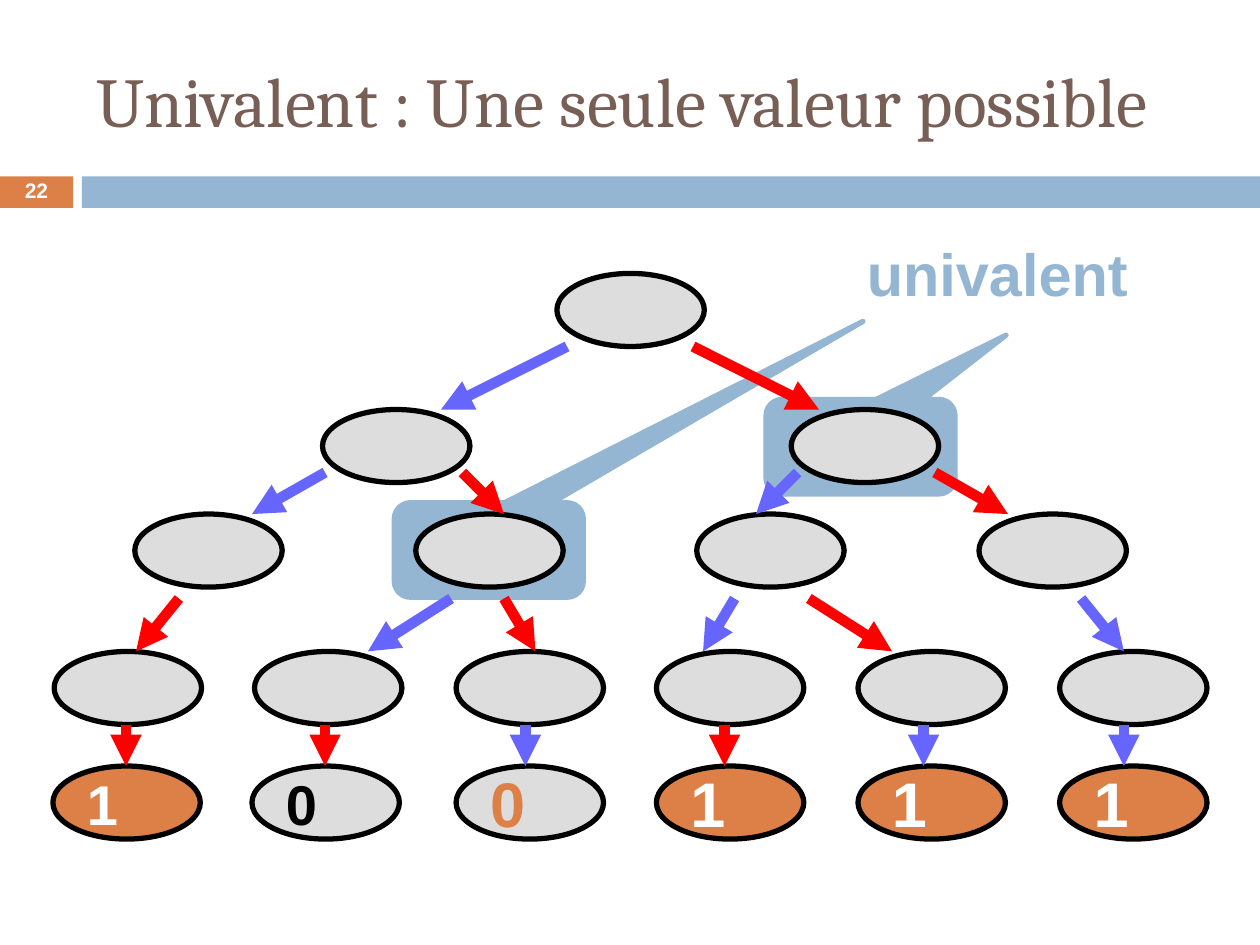
from pptx import Presentation
from pptx.dml.color import RGBColor
from pptx.enum.shapes import MSO_CONNECTOR, MSO_SHAPE
from pptx.enum.text import MSO_ANCHOR, PP_ALIGN
from pptx.oxml.ns import qn
from pptx.util import Inches, Pt
from lxml.etree import SubElement

ORANGE, SKY, GREY = "DD8047", "94B6D2", "DDDDDD"
BLACK, WHITE, BROWN = "000000", "FFFFFF", "775F55"
BLUE, RED = "6666FF", "FF0000"
NODE_WIDTH, NODE_HEIGHT = 1.17, 0.58


def color(value):
    return RGBColor.from_string(value)


def apply(target, values):
    for name, value in values.items():
        setattr(target, name, value)


class Page:
    def __init__(self, deck):
        self.shapes = deck.slides.add_slide(deck.slide_layouts[6]).shapes

    def shape(self, kind, box, fill, line=None, adjustments=()):
        item = self.shapes.add_shape(kind, *map(Inches, box))
        item.shadow.inherit = False
        item.fill.solid()
        item.fill.fore_color.rgb = color(fill)
        if line:
            item.line.color.rgb = color(line)
            item.line.width = Pt(3)
        else:
            item.line.fill.background()
        for index, value in enumerate(adjustments):
            item.adjustments[index] = value
        return item

    def label(self, item, text, size, ink, font="Arial", bold=True,
              align=PP_ALIGN.LEFT, anchor=MSO_ANCHOR.MIDDLE, spacing=1.0, wrap=True):
        apply(item.text_frame, {"word_wrap": wrap, "vertical_anchor": anchor})
        para = item.text_frame.paragraphs[0]
        apply(para, {"alignment": align, "line_spacing": spacing})
        span = para.add_run()
        span.text = text
        apply(span.font, {"name": font, "size": Pt(size), "bold": bold})
        span.font.color.rgb = color(ink)

    def text(self, box, text, size, ink, **style):
        self.label(self.shapes.add_textbox(*map(Inches, box)), text, size, ink, **style)

    def node(self, left, top, fill=GREY):
        box = (left, top, NODE_WIDTH, NODE_HEIGHT)
        return self.shape(MSO_SHAPE.OVAL, box, fill, BLACK)

    def leaf(self, left, top, fill, digit, size, ink):
        self.label(self.node(left, top, fill), digit, size, ink)

    def callout(self, left, top, tip_x, tip_y):
        self.shape(MSO_SHAPE.ROUNDED_RECTANGULAR_CALLOUT, (left, top, 1.5, 0.75),
                   SKY, SKY, (tip_x, tip_y, 0.17))

    def arrow(self, start_x, start_y, end_x, end_y, ink):
        ends = map(Inches, (start_x, start_y, end_x, end_y))
        item = self.shapes.add_connector(MSO_CONNECTOR.STRAIGHT, *ends)
        item.line.color.rgb = color(ink)
        item.line.width = Pt(6)
        properties = item._element.spPr
        SubElement(properties.find(qn("a:ln")), qn("a:tailEnd"), type="triangle")
        SubElement(properties, qn("a:effectLst"))


def main():
    deck = Presentation()
    apply(deck, {"slide_width": Inches(10), "slide_height": Inches(7.5)})
    page = Page(deck)

    page.shape(MSO_SHAPE.RECTANGLE, (0, 1.4, 0.58, 0.25), ORANGE)
    page.shape(MSO_SHAPE.RECTANGLE, (0.65, 1.4, 9.35, 0.25), SKY)
    page.callout(3.13, 3.99, 1.98, -2.42)
    page.callout(6.08, 3.17, 0.77, -1.18)
    page.text((0.67, 0.25, 8.92, 1.08), "Univalent : Une seule valeur possible",
              40, BROWN, font="Cambria", bold=False)

    levels = {
        2.17: [4.42],
        3.25: [2.56, 6.28],
        4.08: [1.07, 3.3, 5.53, 7.77],
        5.17: [0.43, 2.02, 3.62, 5.21, 6.81, 8.41],
    }
    for top, lefts in levels.items():
        for left in lefts:
            page.node(left, top)

    leaves = [
        (0.42, ORANGE, "1", 32, WHITE),
        (2, GREY, "0", 32, BLACK),
        (3.62, GREY, "0", 36, ORANGE),
        *[(left, ORANGE, "1", 36, WHITE) for left in (5.21, 6.81, 8.41)],
    ]
    for left, *style in leaves:
        page.leaf(left, 6.08, *style)

    branches = {
        (2.75, 3.25): [(4.5, 3.5, BLUE), (5.5, 6.5, RED)],
        (3.75, 4.08): [(2.58, 2, BLUE), (3.67, 4, RED), (6.33, 6, BLUE), (7.42, 8, RED)],
        (4.75, 5.17): [(1.42, 1.08, RED), (3.58, 2.92, BLUE), (4, 4.25, RED),
                       (5.83, 5.58, BLUE), (6.42, 7.08, RED), (8.58, 8.92, BLUE)],
        (5.75, 6.08): [(x, x, ink) for x, ink in zip(
            (1, 2.58, 4.17, 5.75, 7.33, 8.92), (RED, RED, BLUE, RED, BLUE, BLUE))],
    }
    for (start_y, end_y), arrows in branches.items():
        for start_x, end_x, ink in arrows:
            page.arrow(start_x, start_y, end_x, end_y, ink)

    page.text((6.75, 1.83, 2.3, 0.67), "univalent", 34, SKY,
              align=PP_ALIGN.RIGHT, anchor=MSO_ANCHOR.TOP, wrap=False)
    page.text((0, 1.39, 0.58, 0.27), "22", 12, WHITE,
              align=PP_ALIGN.CENTER, spacing=0.8)
    deck.save("out.pptx")


if __name__ == "__main__":
    main()
